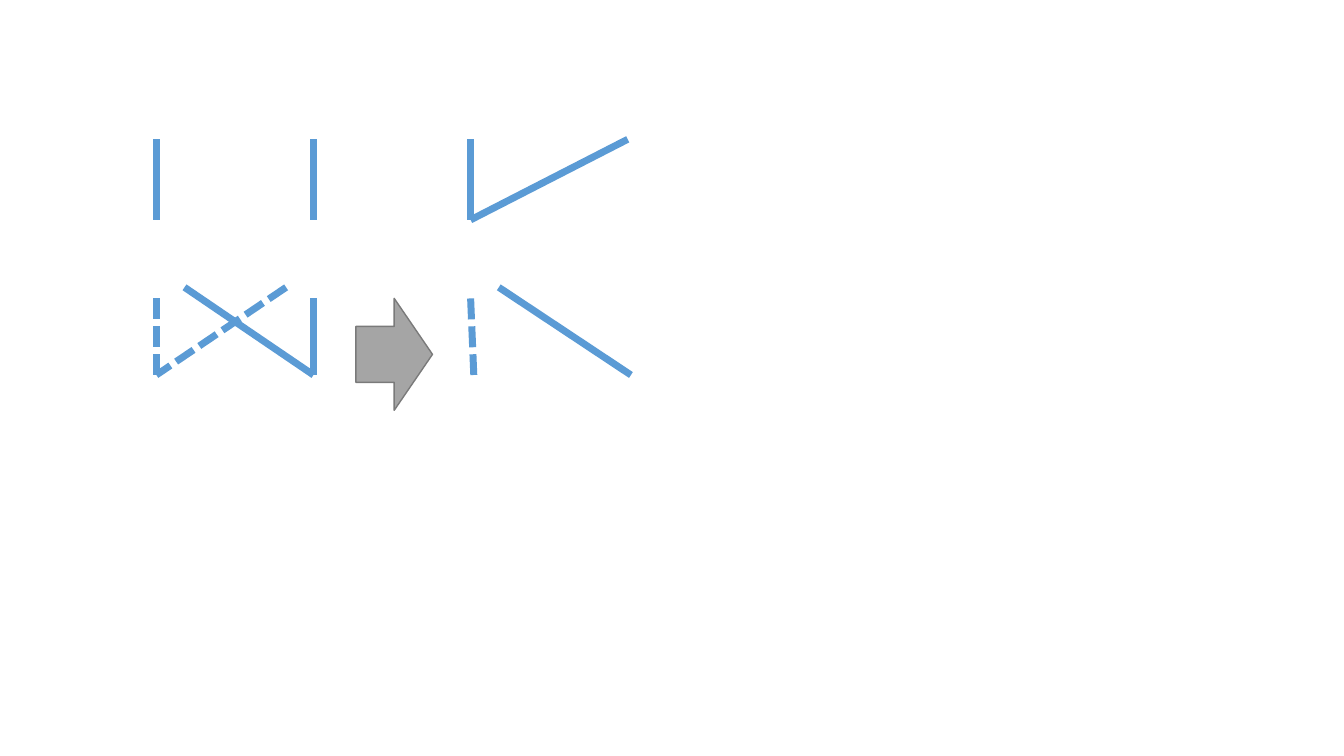
from lxml import etree
from pptx import Presentation, util as u
from pptx.dml.color import RGBColor
from pptx.enum import dml, shapes
from pptx.oxml.ns import qn

COLORS = {"edge": "5B9BD5", "arrow": "A5A5A5", "outline": "7A7A7A"}

# Columns of nodes and the heights where edges start and end, in cm
COLS = [3.94 + 3.96 * i for i in range(4)]
TOP, TOP_END = 3.51, 5.54
DIAGONAL, UPRIGHT, LOW_END = 7.24, 7.52, 9.45

# Each edge: x1, y1, x2, y2, dashed
EDGES_BEFORE = [
    (COLS[0], UPRIGHT, COLS[0], LOW_END, True),
    (4.65, DIAGONAL, COLS[1], LOW_END, False),
    (COLS[0], TOP, COLS[0], TOP_END, False),
    (7.21, DIAGONAL, COLS[0], LOW_END, True),
    (COLS[1], UPRIGHT, COLS[1], LOW_END, False),
    (COLS[1], TOP, COLS[1], TOP_END, False),
]
EDGES_AFTER = [
    (COLS[2], UPRIGHT, 11.94, LOW_END, True),
    (12.57, DIAGONAL, 15.9, LOW_END, False),
    (COLS[2], TOP, COLS[2], TOP_END, False),
    (COLS[3], TOP, COLS[2], TOP_END, False),
]


def color(name):
    return RGBColor.from_string(COLORS[name])


def add_edge(s, x1, y1, x2, y2, dashed):
    ends = [u.Cm(v) for v in (x1, y1, x2, y2)]
    edge = s.shapes.add_connector(shapes.MSO_CONNECTOR.STRAIGHT, *ends)
    edge.line.color.rgb = color("edge")
    edge.line.width = u.Pt(5)
    if dashed:
        edge.line.dash_style = dml.MSO_LINE.SQUARE_DOT  # sysDash
    etree.SubElement(edge._element.spPr, qn("a:effectLst"))


def add_block_arrow(s, x, y, w, h):
    box = [u.Cm(v) for v in (x, y, w, h)]
    sp = s.shapes.add_shape(shapes.MSO_SHAPE.RIGHT_ARROW, *box)
    sp.shadow.inherit = False
    sp.fill.solid()
    sp.fill.fore_color.rgb = color("arrow")
    sp.line.color.rgb = color("outline")
    sp.line.width = u.Pt(1)


def main():
    prs = Presentation()
    prs.slide_width, prs.slide_height = u.Cm(33.87), u.Cm(19.05)
    s = prs.slides.add_slide(prs.slide_layouts[6])

    # Edges before the step
    for edge in EDGES_BEFORE:
        add_edge(s, *edge)

    # Transition
    add_block_arrow(s, 8.97, UPRIGHT, 1.93, 2.82)

    # Edges after the step
    for edge in EDGES_AFTER:
        add_edge(s, *edge)

    prs.save("out.pptx")


if __name__ == "__main__":
    main()
